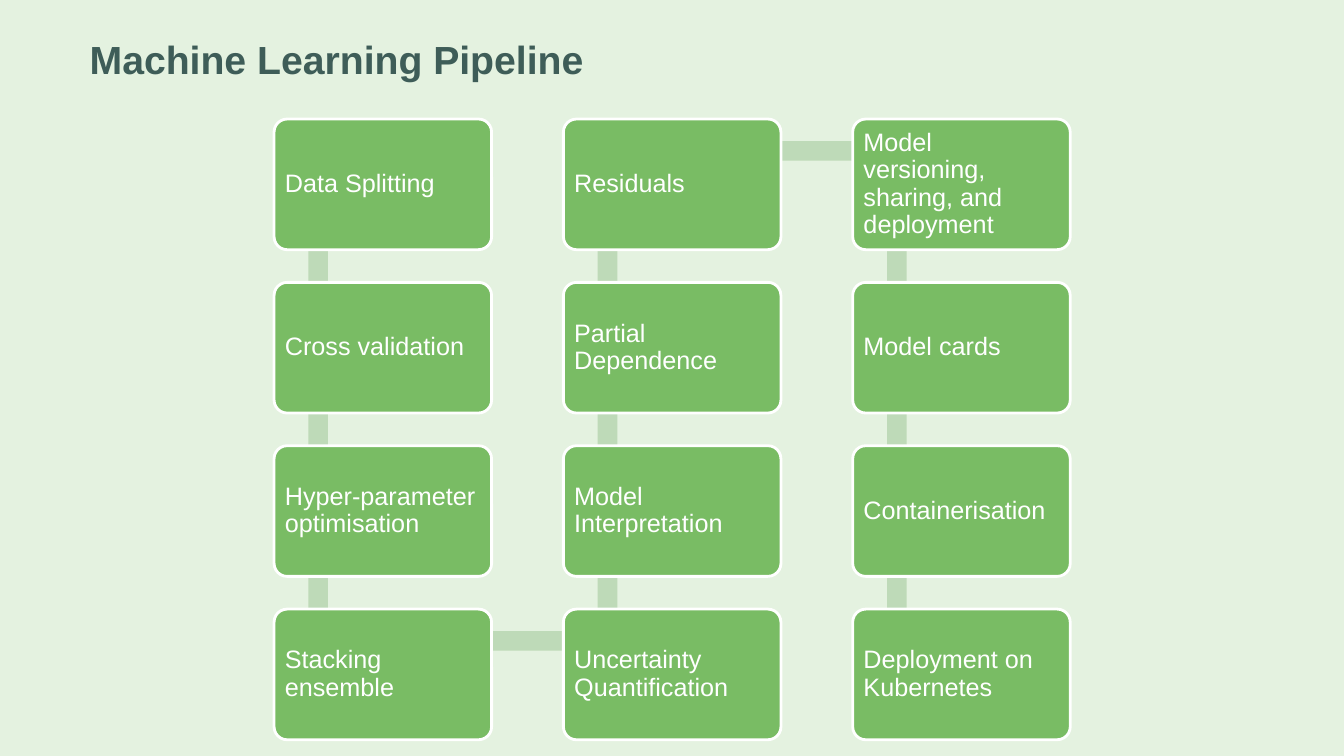
from pptx import Presentation
from pptx.dml.color import RGBColor
from pptx.enum.shapes import MSO_SHAPE
from pptx.enum.text import MSO_ANCHOR, PP_ALIGN
from pptx.util import Pt

RECT, ROUND = MSO_SHAPE.RECTANGLE, MSO_SHAPE.ROUNDED_RECTANGLE
MIDDLE, LEFT = MSO_ANCHOR.MIDDLE, PP_ALIGN.LEFT

# Steps by column, top to bottom
STEPS = [
    ["Data Splitting", "Cross validation",
     "Hyper-parameter optimisation", "Stacking ensemble"],
    ["Residuals", "Partial Dependence",
     "Model Interpretation", "Uncertainty Quantification"],
    ["Model versioning, sharing, and deployment", "Model cards",
     "Containerisation", "Deployment on Kubernetes"],
]


def color(code):
    return RGBColor.from_string(code)


def write(shape, text, size, code, bold=False):
    frame = shape.text_frame
    frame.word_wrap = True
    frame.vertical_anchor = MIDDLE
    para = frame.paragraphs[0]
    para.text = text
    para.alignment = LEFT
    para.line_spacing = 0.9
    font = para.font
    font.name, font.size, font.bold = "Arial", Pt(size), bold
    font.color.rgb = color(code)
    return frame


def block(slide, kind, left, top, width, height, fill):
    shape = slide.shapes.add_shape(
        kind, Pt(left), Pt(top), Pt(width), Pt(height))
    shape.shadow.inherit = False
    shape.fill.solid()
    shape.fill.fore_color.rgb = color(fill)
    shape.line.fill.background()
    return shape


def title(slide, left, top, width, height):
    box = slide.shapes.add_textbox(Pt(left), Pt(top), Pt(width), Pt(height))
    write(box, "Machine Learning Pipeline", 28, "3E5D58", True)


def card(slide, left, top, width, height, text):
    shape = block(slide, ROUND, left, top, width, height, "79BC64")
    shape.adjustments[0] = 0.1
    shape.line.color.rgb = color("FFFFFF")
    shape.line.width = Pt(2)
    frame = write(shape, text, 18, "FFFFFF")
    frame.margin_left = frame.margin_right = Pt(5)
    frame.margin_top = frame.margin_bottom = Pt(5)


def link(slide, start, end):
    """Draw a bar between two points on one row or column."""
    thick = 14
    left, right = sorted((start[0], end[0]))
    top, low = sorted((start[1], end[1]))
    if left == right:
        block(slide, RECT, left - thick / 2, top, thick, low - top, "BEDAB8")
    else:
        block(slide, RECT, left, top - thick / 2, right - left, thick, "BEDAB8")


def flow(slide, left, top, width, height):
    # Cards fill the box; each gap is a fixed share of a card
    wide = width / (len(STEPS) + 0.33 * (len(STEPS) - 1))
    rows = len(STEPS[0])
    high = height / (rows + 0.25 * (rows - 1))
    # The path snakes: down, up, down
    path = []
    for col, texts in enumerate(STEPS):
        cells = [(left + col * wide * 1.33, top + row * high * 1.25, text)
                 for row, text in enumerate(texts)]
        path += cells[::-1] if col % 2 else cells
    # Bars lie behind the cards
    spots = [(x + 31.5, y + 22.8) for x, y, _ in path]
    for start, end in zip(spots, spots[1:]):
        link(slide, start, end)
    for x, y, text in path:
        card(slide, x, y, wide, high, text)


def main():
    deck = Presentation()
    deck.slide_width, deck.slide_height = Pt(960), Pt(540)
    slide = deck.slides.add_slide(deck.slide_layouts[6])
    slide.background.fill.solid()
    slide.background.fill.fore_color.rgb = color("E4F2E0")
    title(slide, 57, 0, 814, 88.5)
    flow(slide, 195.8, 85, 568.7, 443.4)
    deck.save("out.pptx")


if __name__ == "__main__":
    main()
